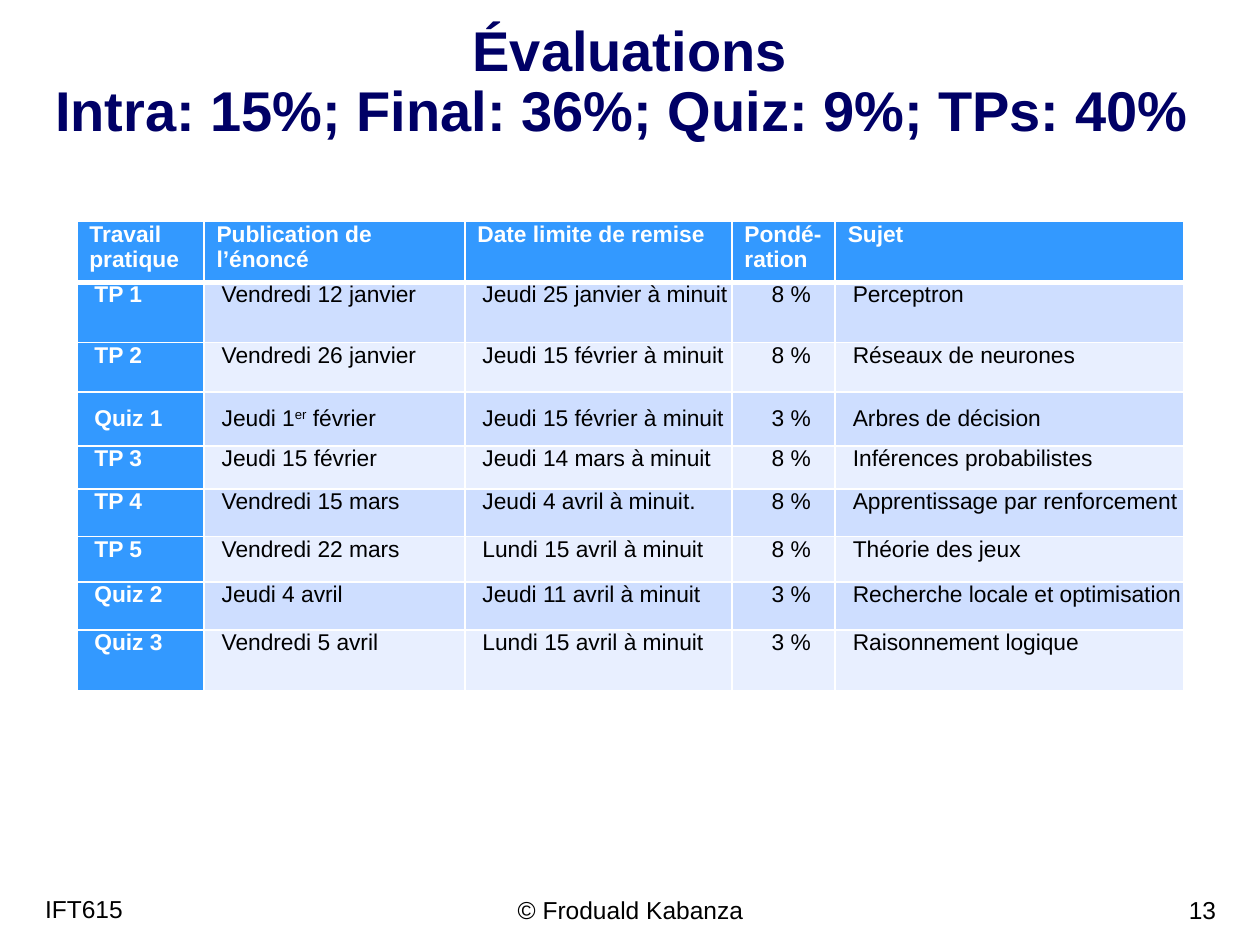
import pptx
import pptx.util
import pptx.dml.color
import pptx.enum.text
import lxml.etree
from pptx.util import Inches

INK = {"title": "000066", "text": "000000", "white": "FFFFFF",
       "head": "3399FF", "odd": "CEDEFF", "even": "E8EFFF"}
FONT = "Arial"
LEFT, MID, RIGHT = (pptx.enum.text.PP_ALIGN.LEFT, pptx.enum.text.PP_ALIGN.CENTER,
                    pptx.enum.text.PP_ALIGN.RIGHT)
COLS = [1.01, 2.07, 2.12, 0.82, 2.77]
ROWS = [0.48, 0.48, 0.39, 0.43, 0.34, 0.38, 0.36, 0.38, 0.48]
PLAN = [
    ["Travail pratique", "Publication de l’énoncé", "Date limite de remise", "Pondé-ration", "Sujet"],
    ["TP 1", "Vendredi 12 janvier", "Jeudi 25 janvier à minuit", "8 %", "Perceptron"],
    ["TP 2", "Vendredi 26 janvier", "Jeudi 15 février à minuit", "8 %", "Réseaux de neurones"],
    ["Quiz 1", "Jeudi 1^er^ février", "Jeudi 15 février à minuit", "3 %", "Arbres de décision"],
    ["TP 3", "Jeudi 15 février", "Jeudi 14 mars à minuit", "8 %", "Inférences probabilistes"],
    ["TP 4", "Vendredi 15 mars", "Jeudi 4 avril à minuit.", "8 %", "Apprentissage par renforcement"],
    ["TP 5", "Vendredi 22 mars", "Lundi 15 avril à minuit", "8 %", "Théorie des jeux"],
    ["Quiz 2", "Jeudi 4 avril", "Jeudi 11 avril à minuit", "3 %", "Recherche locale et optimisation"],
    ["Quiz 3", "Vendredi 5 avril", "Lundi 15 avril à minuit", "3 %", "Raisonnement logique"],
]


def style(para, size, color, bold=False):
    """Format every run of a paragraph."""
    for run in para.runs:
        run.font.name = FONT
        run.font.size = pptx.util.Pt(size)
        run.font.bold = bold
        run.font.color.rgb = pptx.dml.color.RGBColor.from_string(INK[color])


def label(slide, box, text, size, color, align, bold=False):
    """Add a wrapped text box and return its frame."""
    frame = slide.shapes.add_textbox(*map(Inches, box)).text_frame
    frame.word_wrap = True
    para = frame.paragraphs[0]
    para.text = text
    para.alignment = align
    style(para, size, color, bold)
    return frame


def title(slide, box):
    """Place the two-line heading."""
    text = "Évaluations\vIntra: 15%; Final: 36%; Quiz: 9%; TPs: 40% "
    frame = label(slide, box, text, 32, "title", MID, True)
    frame.vertical_anchor = pptx.enum.text.MSO_ANCHOR.BOTTOM
    frame.paragraphs[0].line_spacing = 0.9


def border(cell, side, width):
    """Draw one white edge of a cell."""
    props = cell._tc.get_or_add_tcPr()
    line = lxml.etree.SubElement(props, pptx.oxml.ns.qn("a:ln" + side),
                                 w=str(pptx.util.Pt(width)))
    fill = lxml.etree.SubElement(line, pptx.oxml.ns.qn("a:solidFill"))
    lxml.etree.SubElement(fill, pptx.oxml.ns.qn("a:srgbClr"), val=INK["white"])


def entry(cell, text, row, col):
    """Fill and format one cell, with raised text between carets."""
    head = row == 0 or col == 0
    for side in "LRTB":
        thick = (row, side) in [(0, "B"), (1, "T")]
        border(cell, side, 3 if thick else 1)
    tone = "head" if head else "odd" if row % 2 else "even"
    cell.fill.solid()
    cell.fill.fore_color.rgb = pptx.dml.color.RGBColor.from_string(INK[tone])
    cell.margin_left = cell.margin_right = Inches(0.02)
    cell.margin_top = cell.margin_bottom = 0
    if text and PLAN[row][0] == "Quiz 1":
        cell.vertical_anchor = pptx.enum.text.MSO_ANCHOR.MIDDLE
    para = cell.text_frame.paragraphs[0]
    for index, part in enumerate(text.split("^")):
        run = para.add_run()
        run.text = part
        if index % 2:
            run._r.get_or_add_rPr().set("baseline", "30000")
    para.alignment = MID if col == 3 and row else LEFT
    para.space_before = pptx.util.Pt(3)
    props = para._p.get_or_add_pPr()
    props.set("marL", str(Inches(0.12 if row else 0.08)))
    props.set("indent", "0")
    style(para, 13, "white" if head else "text", head)


def schedule(slide, box):
    """Place the table of assignments and quizzes."""
    table = slide.shapes.add_table(len(ROWS), len(COLS), *map(Inches, box)).table
    for col, width in zip(table.columns, COLS):
        col.width = Inches(width)
    for row, height in zip(table.rows, ROWS):
        row.height = Inches(height)
    for row, texts in enumerate(PLAN):
        for col, text in enumerate(texts):
            entry(table.cell(row, col), text, row, col)


def footer(slide, box):
    """Place the author, page number and course code."""
    left, top, width, height = box
    side = 2.33
    parts = [("© Froduald Kabanza", left + (width - 3.17) / 2, top, 3.17, MID),
             ("13", left + width - side, top, side, RIGHT),
             ("IFT615", left, top + 0.02, side, LEFT)]
    for text, x, y, span, align in parts:
        frame = label(slide, (x, y, span, height), text, 14, "text", align)
        frame.paragraphs[0].space_after = pptx.util.Pt(6)
        if align == LEFT:
            frame.paragraphs[0].line_spacing = 0.9


def main():
    """Build and save the slide."""
    deck = pptx.Presentation()
    deck.slide_width, deck.slide_height = Inches(10), Inches(7.5)
    slide = deck.slides.add_slide(deck.slide_layouts[6])
    title(slide, (0.25, 0.11, 9.5, 1.08))
    footer(slide, (0.26, 7.05, 9.49, 0.35))
    schedule(slide, (0.61, 1.76, sum(COLS), sum(ROWS)))
    deck.save("out.pptx")


if __name__ == "__main__":
    main()
